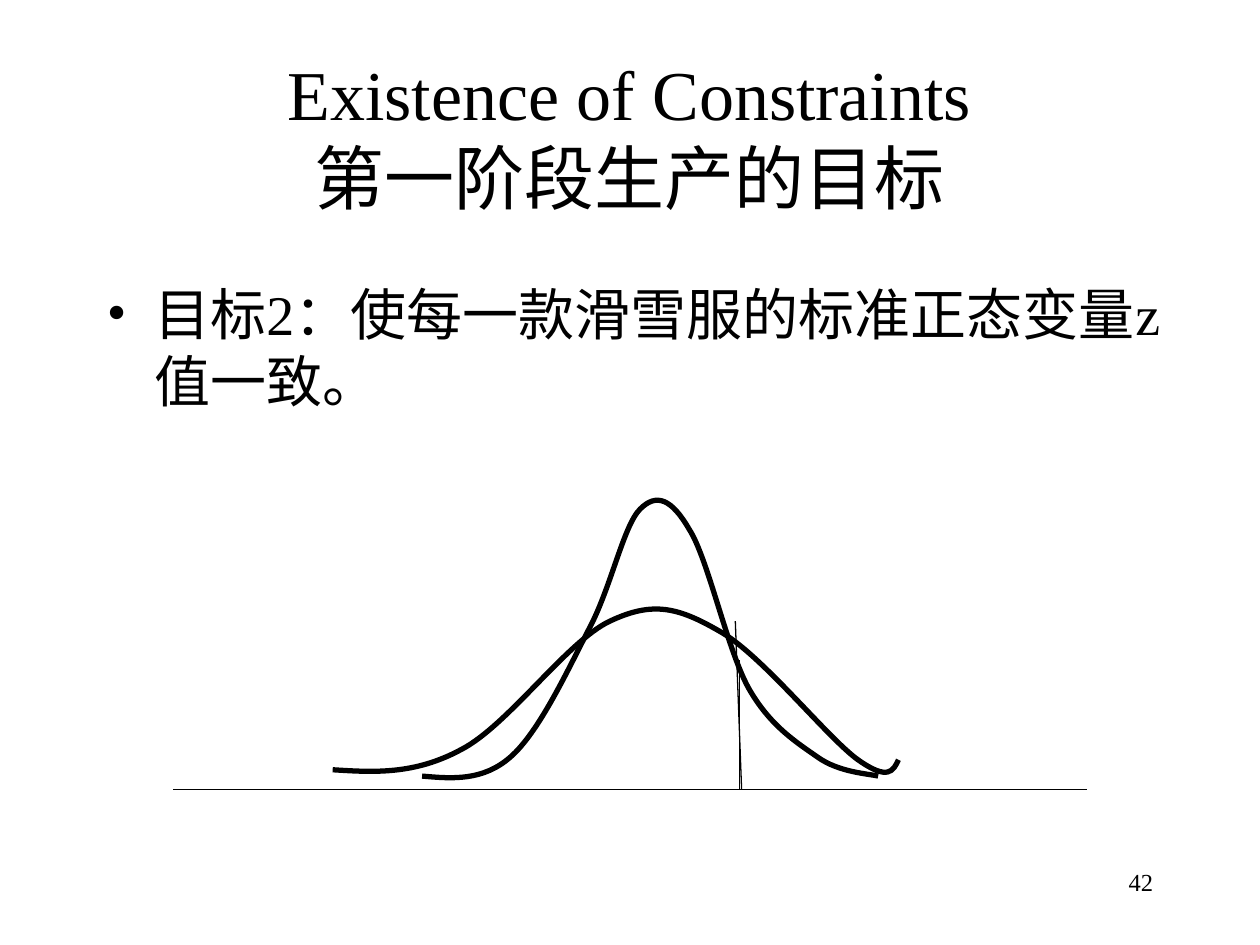
from dataclasses import dataclass

from lxml.etree import SubElement
from pptx import Presentation
from pptx.dml.color import RGBColor
from pptx.enum.shapes import MSO_CONNECTOR
from pptx.enum.text import MSO_ANCHOR, PP_ALIGN
from pptx.oxml.ns import qn
from pptx.util import Pt

FONT = "Times New Roman"
COLOR = {"ink": "000000", "page": "FFFFFF"}
BASE = 451.2  # height of the axis under the curves


@dataclass
class Label:
    left: float
    top: float
    width: float
    height: float
    size: float
    lines: tuple
    align: PP_ALIGN
    anchor: MSO_ANCHOR = MSO_ANCHOR.TOP
    bullet: bool = False


@dataclass
class Rule:
    start: tuple
    end: tuple


@dataclass
class Curve:
    """A start point, then three points (two controls, one end) per segment."""
    points: tuple


LABELS = (
    Label(516, 492, 150, 36, 14, ("42",), PP_ALIGN.RIGHT),
    Label(54, 156, 635, 324, 32, ("目标2：使每一款滑雪服的标准正态变量z值一致。",),
          PP_ALIGN.LEFT, bullet=True),
    Label(54, 32, 611.5, 90, 40, ("Existence of Constraints", "第一阶段生产的目标"),
          PP_ALIGN.CENTER, MSO_ANCHOR.MIDDLE),
)
AXIS = Rule((99, BASE), (621, BASE))
MARKS = (Rule((422.4, 377.3), (422.4, BASE)), Rule((420.2, 355), (423.8, BASE)))
CURVES = (
    Curve(((241.2, 443.5),
           (258.5, 445), (275.8, 446.4), (291.6, 432.7),
           (308.2, 418.3), (324.7, 382.3), (337, 358.6),
           (349.2, 335.5), (356.4, 300.2), (365.8, 290.9),
           (375.1, 281.5), (383.8, 285.1), (393.8, 302.4),
           (404.6, 319), (415.4, 370.8), (427.7, 393.1),
           (439.9, 414.7), (455, 424.1), (467.3, 432.7),
           (479.5, 441.4), (496.1, 442.1), (501.8, 443.5))),
    Curve(((190.1, 439.9),
           (213.8, 441.4), (236.9, 442.8), (263.5, 428.4),
           (290.2, 414.7), (324, 366.5), (348.5, 355),
           (373, 343.4), (387.4, 347), (411.1, 360.7),
           (434.9, 373.7), (473, 421.9), (490.3, 434.2),
           (507.6, 446.4), (510.5, 440.6), (513.4, 434.2))),
)


def paint(name: str) -> RGBColor:
    return RGBColor.from_string(COLOR[name])


def add_bullet(para) -> None:
    props = para._p.get_or_add_pPr()
    props.set("marL", str(Pt(27)))
    props.set("indent", str(-Pt(27)))
    tint = SubElement(props, qn("a:buClr"))
    SubElement(tint, qn("a:srgbClr")).set("val", COLOR["ink"])
    SubElement(props, qn("a:buFont")).set("typeface", FONT)
    SubElement(props, qn("a:buChar")).set("char", "•")


def add_label(slide, label: Label) -> None:
    box = slide.shapes.add_textbox(
        Pt(label.left), Pt(label.top), Pt(label.width), Pt(label.height))
    frame = box.text_frame
    frame.word_wrap = True
    frame.vertical_anchor = label.anchor
    para = frame.paragraphs[0]
    para.alignment = label.align
    if label.bullet:
        add_bullet(para)
    for index, line in enumerate(label.lines):
        if index:
            para.add_line_break()
        run = para.add_run()
        run.text = line
        run.font.name = FONT
        run.font.size = Pt(label.size)
        run.font.color.rgb = paint("ink")


def add_rule(slide, rule: Rule) -> None:
    ends = (Pt(value) for value in (*rule.start, *rule.end))
    line = slide.shapes.add_connector(MSO_CONNECTOR.STRAIGHT, *ends)
    line.line.color.rgb = paint("ink")
    line.line.width = Pt(0.75)
    SubElement(line._element.spPr, qn("a:effectLst"))


def bend(shape) -> None:
    """Turn every three straight pieces of the outline into one cubic curve."""
    outline = next(shape._element.iter(qn("a:path")))
    pieces = outline.findall(qn("a:lnTo"))
    for first in range(0, len(pieces), 3):
        cubic = SubElement(outline, qn("a:cubicBezTo"))
        for piece in pieces[first:first + 3]:
            cubic.append(piece[0])
            outline.remove(piece)


def add_curve(slide, curve: Curve) -> None:
    start, *rest = [(Pt(x), Pt(y)) for x, y in curve.points]
    pen = slide.shapes.build_freeform(*start)
    pen.add_line_segments(rest, close=False)
    shape = pen.convert_to_shape()
    bend(shape)
    shape.shadow.inherit = False
    shape.fill.background()
    shape.line.color.rgb = paint("ink")
    shape.line.width = Pt(3)


def main() -> None:
    deck = Presentation()
    deck.slide_width, deck.slide_height = Pt(720), Pt(540)
    slide = deck.slides.add_slide(deck.slide_layouts[6])
    slide.background.fill.solid()
    slide.background.fill.fore_color.rgb = paint("page")
    for label in LABELS:
        add_label(slide, label)
    add_rule(slide, AXIS)
    for curve in CURVES:
        add_curve(slide, curve)
    for mark in MARKS:
        add_rule(slide, mark)
    deck.save("out.pptx")


if __name__ == "__main__":
    main()
